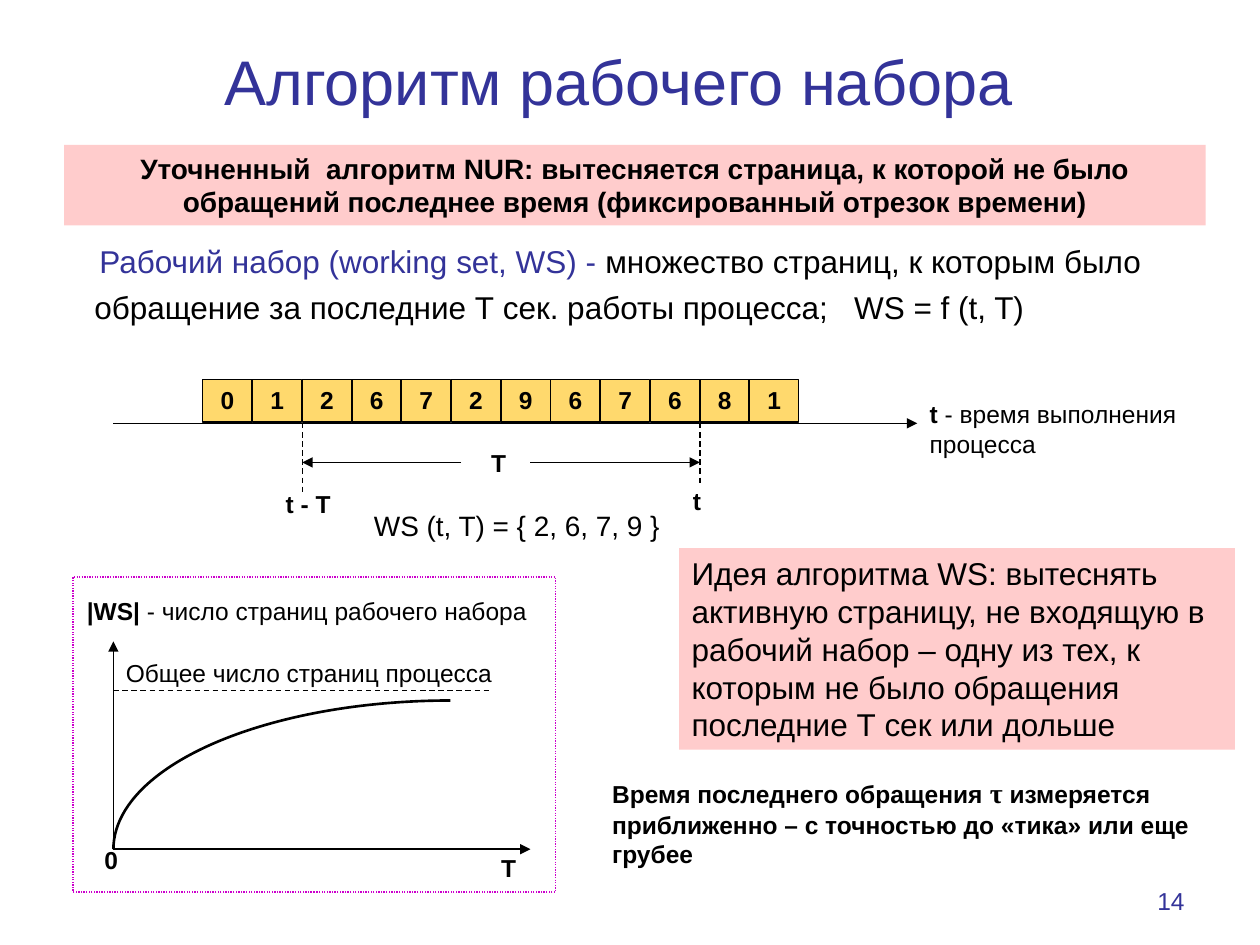
from pptx import Presentation
from pptx.dml.color import RGBColor
from pptx.enum.dml import MSO_LINE
from pptx.enum.shapes import MSO_CONNECTOR, MSO_SHAPE
from pptx.enum.text import MSO_ANCHOR as Anchor, PP_ALIGN as Align
from pptx.oxml.ns import qn
from pptx.util import Inches, Pt
from lxml import etree

BLACK, BLUE, PINK, YELLOW, MAGENTA = "000000", "333399", "FFCCCC", "FFD96D", "CC00CC"
REFERENCES = "012672967681"
CELLS_LEFT, CELLS_TOP, CELL_WIDTH, CELL_HEIGHT = 1.61, 3.01, 0.39, 0.34
CELL_STEP = (5.95 - CELLS_LEFT) / (len(REFERENCES) - 1)
AXIS_Y = 3.36
WINDOW_START = CELLS_LEFT + 2 * CELL_STEP
WINDOW_END = CELLS_LEFT + 10 * CELL_STEP
ORIGIN_X, ORIGIN_Y = 0.9, 6.74
BOLD = {"bold": True}


def color(value):
    return RGBColor.from_string(value)


def write(shape, runs, size=14, font_color=BLACK, anchor=Anchor.TOP, **paragraph_format):
    """Fill one paragraph with (text, font overrides) pairs."""
    frame = shape.text_frame
    frame.word_wrap = True
    frame.vertical_anchor = anchor
    paragraph = frame.paragraphs[0]
    for name, value in {"alignment": Align.LEFT, **paragraph_format}.items():
        setattr(paragraph, name, value)
    for text, overrides in runs:
        run = paragraph.add_run()
        run.text = text
        values = {"name": "Arial", "size": size, "bold": False, "color": font_color, **overrides}
        run.font.color.rgb = color(values.pop("color"))
        values["size"] = Pt(values["size"])
        for name, value in values.items():
            setattr(run.font, name, value)
    return paragraph


def set_indent(paragraph, left, first_line=0.0):
    properties = paragraph._p.get_or_add_pPr()
    properties.set("marL", str(Inches(left)))
    properties.set("indent", str(Inches(first_line)))


def add_text(slide, box, runs, **text_format):
    shape = slide.shapes.add_textbox(*map(Inches, box))
    return write(shape, runs, **text_format)


def add_box(slide, box, fill=None, line=None, width=0.75, dash=None, kind=MSO_SHAPE.RECTANGLE):
    shape = slide.shapes.add_shape(kind, *map(Inches, box))
    shape.shadow.inherit = False
    if fill:
        shape.fill.solid()
        shape.fill.fore_color.rgb = color(fill)
    else:
        shape.fill.background()
    if line:
        shape.line.color.rgb = color(line)
        shape.line.width = Pt(width)
        shape.line.dash_style = dash
    else:
        shape.line.fill.background()
    return shape


def add_line(slide, start, end, width=0.75, dashed=False, arrow=False):
    line = slide.shapes.add_connector(MSO_CONNECTOR.STRAIGHT, *map(Inches, (*start, *end)))
    line.line.color.rgb = color(BLACK)
    line.line.width = Pt(width)
    if dashed:
        line.line.dash_style = MSO_LINE.DASH
    if arrow:
        etree.SubElement(line.line._get_or_add_ln(), qn("a:tailEnd"), type="triangle")
    etree.SubElement(line._element.spPr, qn("a:effectLst"))


def add_heading(slide):
    add_text(slide, (0.01, -0.11, 9.8, 1.5), [("Алгоритм рабочего набора", {})],
             size=36, font_color=BLUE, anchor=Anchor.MIDDLE, alignment=Align.CENTER)
    definition = add_text(slide, (0.27, 1.94, 9.45, 4.57), [
        ("Рабочий набор (working set, WS) - ", {"color": BLUE}),
        ("множество страниц, к которым было обращение за последние Т сек. "
         "работы процесса;   WS = f (t, T)", {}),
        (" ", {"size": 32}),
    ], size=18, line_spacing=0.75)
    set_indent(definition, 0.38, 0.04)


def add_reference_string(slide):
    add_line(slide, (ORIGIN_X, AXIS_Y), (7.28, AXIS_Y), arrow=True)
    for index, page in enumerate(REFERENCES):
        left = CELLS_LEFT + index * CELL_STEP
        cell = add_box(slide, (left, CELLS_TOP, CELL_WIDTH, CELL_HEIGHT), YELLOW, BLACK)
        write(cell, [(page, BOLD)], alignment=Align.CENTER)
    add_line(slide, (WINDOW_START, AXIS_Y), (WINDOW_START, 3.91), dashed=True)
    add_line(slide, (WINDOW_END, AXIS_Y), (WINDOW_END, 3.83), dashed=True)
    add_line(slide, (3.66, 3.67), (WINDOW_START, 3.67), arrow=True)
    add_line(slide, (4.21, 3.67), (WINDOW_END, 3.67), arrow=True)
    add_text(slide, (7.28, 3.12, 2.36, 0.57),
             [("t ", BOLD), ("- время выполнения процесса", {})])
    add_text(slide, (2.87, 3.99, 4.1, 0.37), [("WS (t, T) = { 2, 6, 7, 9 }", {})], size=16)


def add_symbols(slide):
    """Place the short bold labels on both diagrams."""
    for text, left, top, width, indent in (
        ("t - T", 2.01, 3.83, 0.87, 0.16),
        ("t", 5.24, 3.81, 0.71, 0.16),
        ("T", 3.58, 3.51, 0.63, 0.22),
        ("T", 3.66, 6.72, 0.63, 0.22),
        ("0", 0.51, 6.66, 0.63, 0.22),
    ):
        set_indent(add_text(slide, (left, top, width, 0.34), [(text, BOLD)]), indent)


def add_growth_graph(slide):
    add_box(slide, (0.58, 4.58, 3.83, 2.5), line=MAGENTA, dash=MSO_LINE.ROUND_DOT)
    for end in ((ORIGIN_X, 5.09), (4.21, ORIGIN_Y)):
        add_line(slide, (ORIGIN_X, ORIGIN_Y), end, width=1, arrow=True)
    curve = add_box(slide, (ORIGIN_X, 5.56, 5.35, 2.36), line=BLACK, width=1.5, kind=MSO_SHAPE.ARC)
    # Angles count 1/60000 degree, scaled by 100000: 180 to 270 degrees
    for index, degrees in enumerate((180, 270)):
        curve.adjustments[index] = degrees * 0.6
    add_line(slide, (ORIGIN_X, 5.48), (3.9, 5.48), dashed=True)
    add_text(slide, (0.59, 4.68, 3.75, 0.34),
             [("|WS|", BOLD), (" - число страниц рабочего набора", {})])
    add_text(slide, (ORIGIN_X, 5.17, 3.23, 0.34), [("Общее число страниц процесса", {})])


def add_notes_on_algorithm(slide):
    summary = add_box(slide, (0.51, 1.15, 9.06, 0.64), PINK)
    write(summary, [("Уточненный  алгоритм NUR: вытесняется страница, к которой не было "
                     "обращений последнее время (фиксированный отрезок времени)", BOLD)],
          size=16, alignment=Align.CENTER)
    idea = add_box(slide, (5.39, 4.35, 4.41, 1.6), PINK)
    write(idea, [("Идея алгоритма WS: вытеснять активную страницу, не входящую в рабочий набор "
                  "– одну из тех, к которым не было обращения последние Т сек или дольше", {})],
          size=18)
    add_text(slide, (4.76, 6.11, 5.24, 0.84), [
        ("Время последнего обращения ", BOLD),
        ("τ", {"name": "Times New Roman", "size": 16, **BOLD}),
        (" измеряется приближенно – с точностью до «тика» или еще грубее", BOLD),
    ])


def main():
    presentation = Presentation()
    presentation.slide_width, presentation.slide_height = Inches(10), Inches(7.5)
    slide = presentation.slides.add_slide(presentation.slide_layouts[6])
    add_heading(slide)
    add_reference_string(slide)
    add_growth_graph(slide)
    add_symbols(slide)
    add_notes_on_algorithm(slide)
    add_text(slide, (7.17, 6.98, 2.33, 0.52), [("14", {})],
             font_color=BLUE, alignment=Align.RIGHT)
    presentation.save("out.pptx")


if __name__ == "__main__":
    main()
